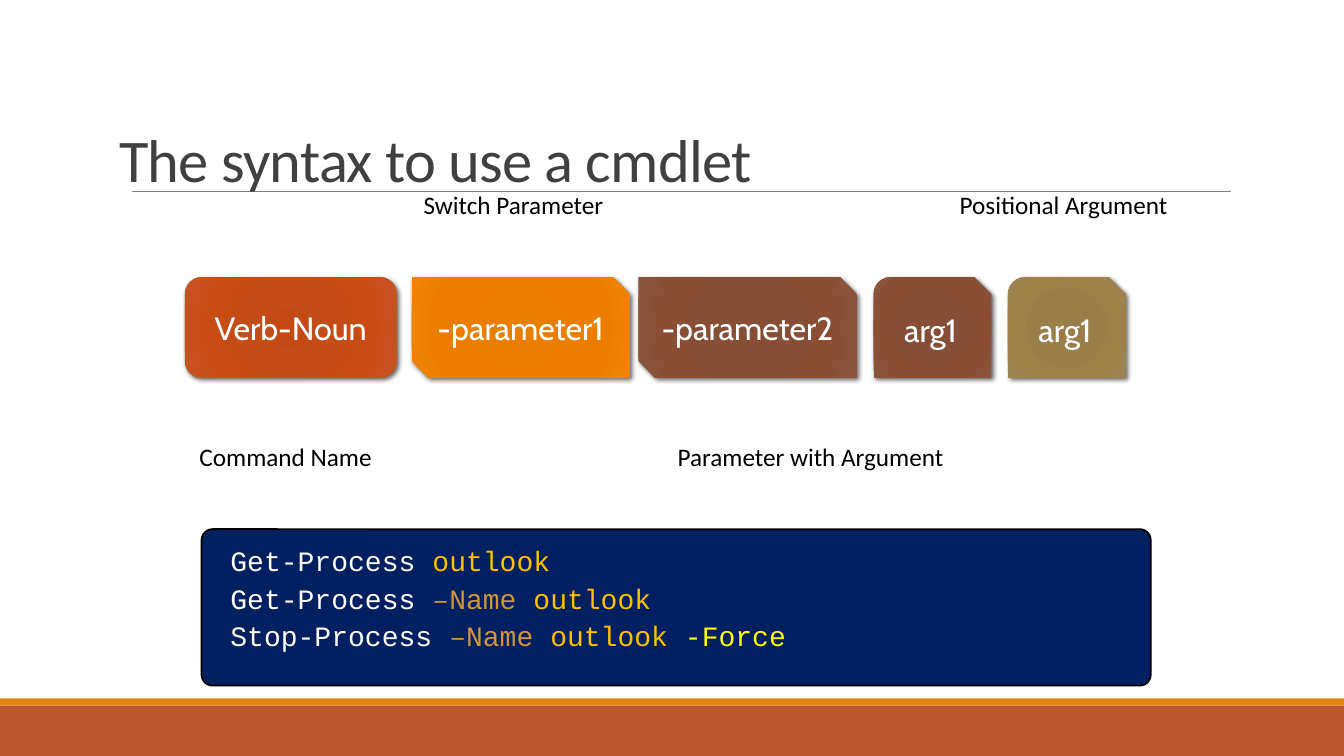
from lxml import etree
from pptx import Presentation
from pptx import util as u
from pptx.dml.color import RGBColor
from pptx.enum import shapes, text
from pptx.oxml import parse_xml
from pptx.oxml.ns import nsdecls, qn

KIND = shapes.MSO_SHAPE
LEFT, MID = text.PP_ALIGN.LEFT, text.PP_ALIGN.CENTER
TOP, CORE, BASE = (text.MSO_ANCHOR.TOP, text.MSO_ANCHOR.MIDDLE,
                   text.MSO_ANCHOR.BOTTOM)
WHITE, BLACK, GOLD, TAN, LEMON = "FFFFFF", "000000", "FFC000", "D1943B", "FFFF00"
RUST = ["C44A15", "C34C18", "C94C15", "C45525"]
AMBER = ["E57B00", "E87D00", "EB7E00", "EF8407"]
BROWN = ["874C32", "864E34", "8A4E33", "8A553D"]
OLIVE = ["9A7D48", "9A7E4A", "9E8049", "9E8454"]


def px(n):
    """Turn px, 96 to the inch, into EMU."""
    return u.Emu(n * 9525)


def tint(code):
    return RGBColor.from_string(code)


def write(shape, lines, size=18, font="Calibri", color=BLACK, align=LEFT,
          anchor=TOP, lead=None, gap=0, hang=0, track=0):
    """Fill a shape; each line is a list of (words, color or None) runs."""
    frame = shape.text_frame
    frame.word_wrap = True
    frame.vertical_anchor = anchor
    for i, line in enumerate(lines):
        para = frame.add_paragraph() if i else frame.paragraphs[0]
        para.alignment = align
        if lead:
            para.line_spacing = lead
        if i and gap:
            para.space_before = u.Pt(gap)
        if hang:
            prop = para._p.get_or_add_pPr()
            prop.set("marL", str(px(hang)))
            prop.set("indent", str(-px(hang)))
        for words, shade in line:
            run = para.add_run()
            run.text = words
            run.font.size = u.Pt(size)
            run.font.name = font
            run.font.color.rgb = tint(shade or color)
            if track:
                run._r.get_or_add_rPr().set("spc", str(track))


class Deck:
    def __init__(self):
        self.file = Presentation()
        self.file.slide_width, self.file.slide_height = px(1280), px(720)
        self.slide = self.file.slides.add_slide(self.file.slide_layouts[6])

    def block(self, kind, box, fill=None, edge=None, width=1):
        shape = self.slide.shapes.add_shape(kind, *map(px, box))
        shape.shadow.inherit = False
        if fill:
            shape.fill.solid()
            shape.fill.fore_color.rgb = tint(fill)
        else:
            shape.fill.background()
        if edge:
            shape.line.color.rgb = tint(edge)
            shape.line.width = u.Pt(width)
        else:
            shape.line.fill.background()
        return shape

    def token(self, kind, left, width, words, shades):
        """Draw one part of the command with a radial fill and a shadow."""
        shape = self.block(kind, (left, 264, width, 96))
        prop = shape._element.spPr
        stops = "".join(
            f'<a:gs pos="{pos}000"><a:srgbClr val="{code}"/></a:gs>'
            for pos, code in zip((0, 34, 70, 100), shades))
        grad = parse_xml(
            f'<a:gradFill {nsdecls("a")} rotWithShape="1"><a:gsLst>{stops}</a:gsLst>'
            '<a:path path="circle"><a:fillToRect l="100000" t="100000" '
            'r="100000" b="100000"/></a:path></a:gradFill>')
        prop.replace(prop.find(qn("a:noFill")), grad)
        prop.find(qn("a:effectLst")).append(parse_xml(
            f'<a:outerShdw {nsdecls("a")} blurRad="44450" dist="25400" '
            'dir="2700000" algn="tl" rotWithShape="0"><a:srgbClr val="000000">'
            '<a:alpha val="60000"/></a:srgbClr></a:outerShdw>'))
        write(shape, [[(words, None)]], size=23, font="Cabin", color=WHITE,
              align=MID, anchor=CORE)

    def label(self, box, lines, **form):
        write(self.slide.shapes.add_textbox(*map(px, box)), lines, **form)

    def rule(self, left, right, top, color, width):
        line = self.slide.shapes.add_connector(
            shapes.MSO_CONNECTOR.STRAIGHT, px(left), px(top), px(right), px(top))
        line.line.color.rgb = tint(color)
        line.line.width = u.Pt(width)
        etree.SubElement(line._element.spPr, qn("a:effectLst"))


def main():
    deck = Deck()
    deck.block(KIND.RECTANGLE, (0, 672, 1280, 48), "BD582C")
    deck.block(KIND.RECTANGLE, (0, 665, 1280, 7), "E48312")
    deck.rule(126, 1172, 182, "808080", 0.5)
    deck.label((104, 120, 880, 70), [[("The syntax to use a cmdlet", None)]],
               size=43.2, color="404040", anchor=BASE, lead=0.85, track=-50)

    snip, tab = KIND.SNIP_2_DIAG_RECTANGLE, KIND.SNIP_ROUND_RECTANGLE
    for part in (
            (KIND.ROUNDED_RECTANGLE, 176, 202, "Verb-Noun", RUST),
            (snip, 392, 208, "-parameter1", AMBER),
            (snip, 608, 208, "-parameter2", BROWN),
            (tab, 832, 112, "arg1", BROWN),
            (tab, 960, 112, "arg1", OLIVE)):
        deck.token(*part)

    for left, top, width, words in (
            (136, 416, 272, "Command Name"),
            (368, 176, 242, "Switch Parameter"),
            (616, 416, 312, "Parameter with Argument"),
            (880, 176, 266, "Positional Argument")):
        deck.label((left, top, width, 38), [[(words, None)]], align=MID)

    panel = deck.block(KIND.ROUNDED_RECTANGLE, (192, 504, 904, 149),
                       "002060", BLACK, 1.25)
    panel.adjustments[0] = 0.07
    code = [
        [("Get-Process ", None), ("outlook", GOLD)],
        [("Get-Process ", None), ("–Name ", TAN), ("outlook", GOLD)],
        [("Stop-Process ", None), ("–Name ", TAN), ("outlook ", GOLD),
         ("-Force", LEMON)],
    ]
    deck.label((210, 517, 879, 109), code, size=20, font="Courier New",
               color=WHITE, lead=0.9, gap=5, hang=48)
    deck.file.save("out.pptx")


if __name__ == "__main__":
    main()
